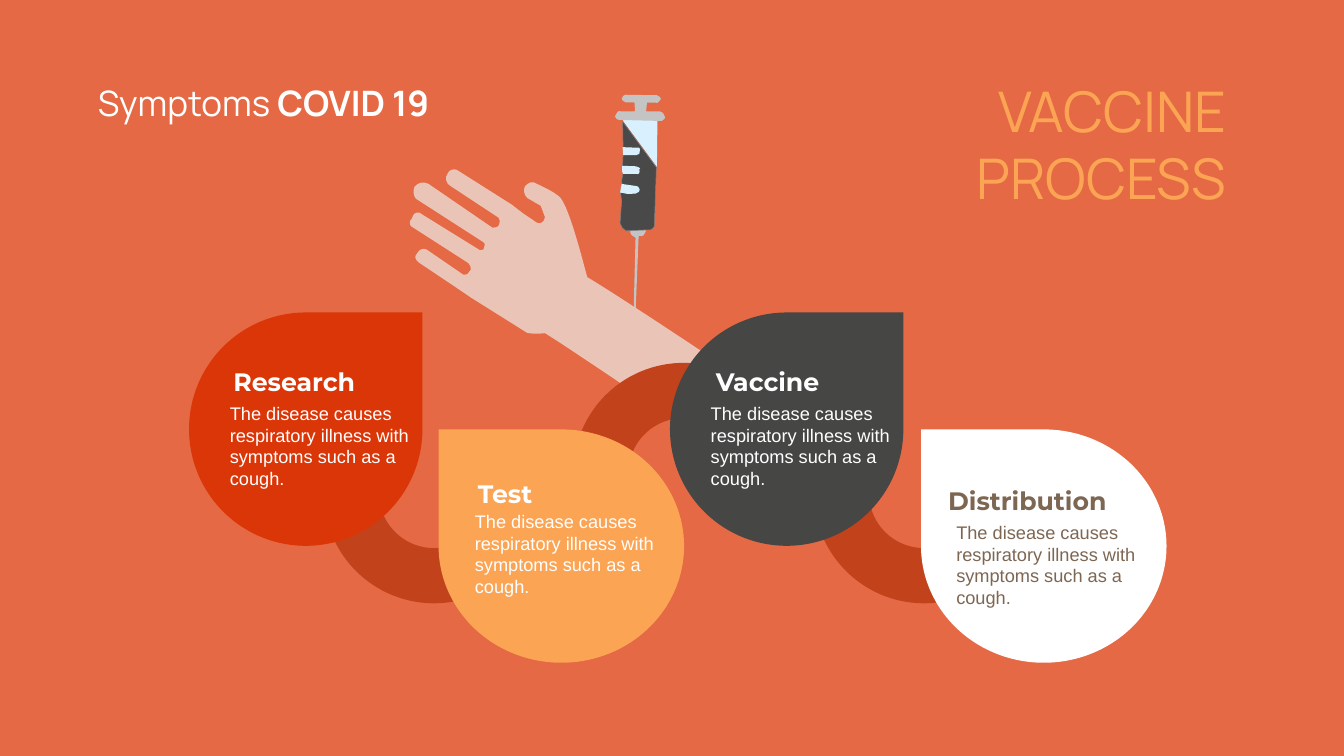
import math

import lxml.etree
import pptx
import pptx.dml.color
import pptx.enum.shapes
import pptx.enum.text
import pptx.oxml.ns
import pptx.util

RGB = pptx.dml.color.RGBColor
Inches, Pt = pptx.util.Inches, pptx.util.Pt
SHAPE = pptx.enum.shapes.MSO_SHAPE
ALIGN = pptx.enum.text.PP_ALIGN
qn = pptx.oxml.ns.qn

CORAL = RGB(0xE4, 0x69, 0x44)
RUST = RGB(0xC2, 0x42, 0x1C)
RED = RGB(0xDB, 0x36, 0x08)
AMBER = RGB(0xFB, 0xA4, 0x54)
CHARCOAL = RGB(0x46, 0x47, 0x45)
WHITE = RGB(0xFF, 0xFF, 0xFF)
BROWN = RGB(0x7D, 0x66, 0x52)
SILVER = RGB(0xC4, 0xC4, 0xC4)
GLASS = RGB(0xD9, 0xF1, 0xFF)
LIQUID = RGB(0x49, 0x49, 0x49)
GREY = RGB(0x80, 0x80, 0x80)
SKIN = RGB(0xEA, 0xC5, 0xB7)

SLIDE_W, SLIDE_H = 26.66, 15
BODY = "The disease causes respiratory illness with symptoms such as a cough."
TILT = 68.1  # rotation of every part of the arm and syringe

# Outlines: two numbers are a corner, six are a Bezier curve to the last pair.
BACKDROP = [(2693, 1511), (0, 1511), (0, 0), (2693, 0)]
SYRINGE = [
    (SILVER, [(49, 288), (41, 292), (35, 289, 29, 286, 30, 276), (28, 272, 35, 264, 41, 267),
              (51, 267), (56, 266, 59, 274, 61, 279), (58, 285, 56, 291, 49, 288)]),
    (SILVER, [(39, 439), (37, 435), (41, 279), (46, 278), (47, 282), (41, 433),
              (43, 437, 43, 437, 39, 439)]),
    (GLASS, [(84, 63), (86, 42, 71, 43, 50, 41), (35, 43, 18, 39, 16, 60), (83, 151)]),
    (LIQUID, [(78, 266), (82, 152), (15, 61), (16, 112), (16, 127), (15, 148), (16, 163),
              (13, 180), (14, 184), (11, 201), (13, 220), (10, 263),
              (14, 271, 15, 276, 22, 278), (66, 276), (72, 278, 79, 271, 78, 266)]),
    (SILVER, [(92, 60), (8, 58), (4, 59, 2, 55, 0, 51), (3, 45, 5, 38, 12, 41), (89, 41),
              (96, 43, 97, 47, 99, 52), (101, 56, 92, 60, 92, 60)]),
    (SILVER, [(84, 24), (21, 23), (15, 20, 15, 20, 13, 16), (16, 10, 16, 10, 20, 8), (83, 9),
              (89, 12, 89, 12, 91, 16), (88, 22, 84, 24, 84, 24)]),
    (SILVER, [(61, 48), (40, 46), (38, 16), (64, 16)]),
    (GLASS, [(16, 128), (42, 128), (47, 126, 51, 125, 49, 120), (52, 113, 45, 111, 41, 113),
             (15, 112)]),
    (GLASS, [(41, 150), (14, 149), (14, 160), (16, 165), (42, 165),
             (48, 168, 50, 161, 48, 156), (53, 154, 47, 152, 41, 150)]),
    (GLASS, [(10, 202), (26, 205), (41, 204), (46, 202, 50, 200, 49, 196),
             (47, 191, 45, 188, 41, 189), (13, 185)]),
]
ARM = [(SKIN, [
    (628, 421), (628, 421, 432, 290, 365, 250), (363, 246, 333, 120, 312, 93),
    (302, 81, 265, 65, 265, 65), (257, 58, 248, 62, 241, 70), (239, 76, 238, 86, 246, 93),
    (272, 108), (274, 112), (281, 131), (280, 141, 271, 145, 265, 142), (237, 123),
    (215, 106), (106, 37), (99, 34, 90, 38, 88, 44), (81, 52, 86, 65, 92, 68), (189, 132),
    (191, 136, 193, 140, 190, 146), (187, 153, 181, 150, 177, 152), (50, 65),
    (37, 59, 29, 63, 22, 71), (19, 77, 20, 92, 26, 95), (158, 180),
    (164, 183, 161, 189, 159, 195), (154, 197, 150, 198, 148, 194), (38, 126),
    (31, 118, 22, 122, 19, 128), (17, 134), (12, 136, 11, 147, 17, 150), (129, 222),
    (135, 225, 132, 231, 134, 235), (127, 244), (127, 244, 118, 247, 116, 243), (46, 195),
    (40, 192, 31, 195, 28, 202), (21, 209, 23, 214, 31, 221), (107, 272), (135, 291),
    (245, 360), (251, 363, 277, 362, 281, 361), (350, 404, 548, 540, 548, 540),
    (568, 552, 597, 546, 609, 526), (636, 479), (649, 459, 648, 433, 628, 421)])]

# Box, mirrored, fill, text colour, heading, heading offset, body offset
UPPER, LOWER = 6.2, 8.52
CARDS = [
    ((3.75, UPPER, 4.63, 4.63), False, RED, WHITE, "Research", (0.78, 1.01), (0.71, 1.73)),
    ((8.7, LOWER, 4.87, 4.63), True, AMBER, WHITE, "Test", (0.68, 0.92), (0.62, 1.55)),
    ((13.29, UPPER, 4.63, 4.63), False, CHARCOAL, WHITE, "Vaccine", (0.81, 1.01), (0.71, 1.73)),
    ((18.27, LOWER, 4.87, 4.63), True, WHITE, BROWN, "Distribution", (0.44, 1.06), (0.6, 1.77)),
]
ARC_SIZE = 4.38
ARCS = [(11.37, 7.2, 326.8), (16.14, 7.59, 227.1), (6.42, 7.59, 227.1)]


def paint(sp, color):
    sp.shadow.inherit = False
    sp.fill.solid()
    sp.fill.fore_color.rgb = color
    sp.line.fill.background()


def spin(point, degrees):
    a = math.radians(degrees)
    x, y = point
    return x * math.cos(a) - y * math.sin(a), x * math.sin(a) + y * math.cos(a)


def add_outline(shapes, origin, color, outline, tilt=0):
    """Draw an outline given in hundredths of an inch from origin, as a shape turned by tilt."""
    parts = [[spin((origin[0] + x / 100, origin[1] + y / 100), -tilt)
              for x, y in zip(part[::2], part[1::2])] for part in outline]
    xs, ys = zip(*(part[-1] for part in parts))
    middle = ((min(xs) + max(xs)) / 2, (min(ys) + max(ys)) / 2)
    dx, dy = (c - m for c, m in zip(spin(middle, tilt), middle))
    parts = [[(Inches(x + dx), Inches(y + dy)) for x, y in part] for part in parts]

    builder = shapes.build_freeform(*parts[0][0])
    builder.add_line_segments([part[-1] for part in parts[1:]], close=True)
    sp = builder.convert_to_shape()
    for part, line in zip(parts[1:], list(sp._element.iter(qn("a:lnTo")))):
        if len(part) == 3:
            line.tag = qn("a:cubicBezTo")
            line.clear()
            for x, y in part:
                lxml.etree.SubElement(line, qn("a:pt"), x=str(x - sp.left), y=str(y - sp.top))
    sp.rotation = tilt
    paint(sp, color)
    return sp


def add_vaccination(slide, syringe_at, arm_at):
    shapes = slide.shapes.add_group_shape().shapes
    for origin, drawing in ((syringe_at, SYRINGE), (arm_at, ARM)):
        for color, outline in drawing:
            sp = add_outline(shapes, origin, color, outline, TILT)
            if color == LIQUID:
                sp.line.color.rgb = GREY
                sp.line.width = Pt(0.75)


def add_text(slide, box, lines, font, size, color, align=ALIGN.LEFT, wrap=True):
    """Add a text box; each line is a list of (text, bold) runs."""
    tf = slide.shapes.add_textbox(*map(Inches, box)).text_frame
    tf.word_wrap = wrap
    tf.auto_size = pptx.enum.text.MSO_AUTO_SIZE.SHAPE_TO_FIT_TEXT
    for i, runs in enumerate(lines):
        p = tf.add_paragraph() if i else tf.paragraphs[0]
        p.alignment = align
        for text, bold in runs:
            r = p.add_run()
            r.text = text
            r.font.name, r.font.size, r.font.bold = font, Pt(size), bold
            r.font.color.rgb = color


def add_arcs(slide):
    for left, top, rotation in ARCS:
        sp = slide.shapes.add_shape(SHAPE.BLOCK_ARC,
                                    *map(Inches, (left, top, ARC_SIZE, ARC_SIZE)))
        paint(sp, RUST)
        sp.rotation = rotation


def add_card(slide, box, mirrored, fill, color, heading, heading_at, body_at):
    sp = slide.shapes.add_shape(SHAPE.TEAR, *map(Inches, box))
    paint(sp, fill)
    if mirrored:
        sp._element.spPr.get_or_add_xfrm().set("flipH", "1")
    left, top = box[:2]
    add_text(slide, (left + heading_at[0], top + heading_at[1], 3.9, 0.71),
             [[(heading, True)]], "Montserrat", 36, color)
    add_text(slide, (left + body_at[0], top + body_at[1], 3.85, 1.85),
             [[(BODY, False)]], "Arial", 26, color)


def add_titles(slide):
    add_text(slide, (19.14, 1.47, 5.29, 2.79), [[("VACCINE", False)], [("PROCESS", False)]],
             "Manrope", 80, AMBER, ALIGN.RIGHT, wrap=False)
    add_text(slide, (1.78, 1.56, 6.9, 0.94), [[("Symptoms ", False), ("COVID 19", True)]],
             "Manrope", 50, WHITE, ALIGN.CENTER, wrap=False)


def main():
    prs = pptx.Presentation()
    prs.slide_width, prs.slide_height = Inches(SLIDE_W), Inches(SLIDE_H)
    slide = prs.slides.add_slide(prs.slide_layouts[6])
    add_outline(slide.shapes, (-0.11, 0), CORAL, BACKDROP)
    add_vaccination(slide, syringe_at=(12.2, 1.8), arm_at=(8, 3))
    add_arcs(slide)
    for card in CARDS:
        add_card(slide, *card)
    add_titles(slide)
    prs.save("out.pptx")


if __name__ == "__main__":
    main()
